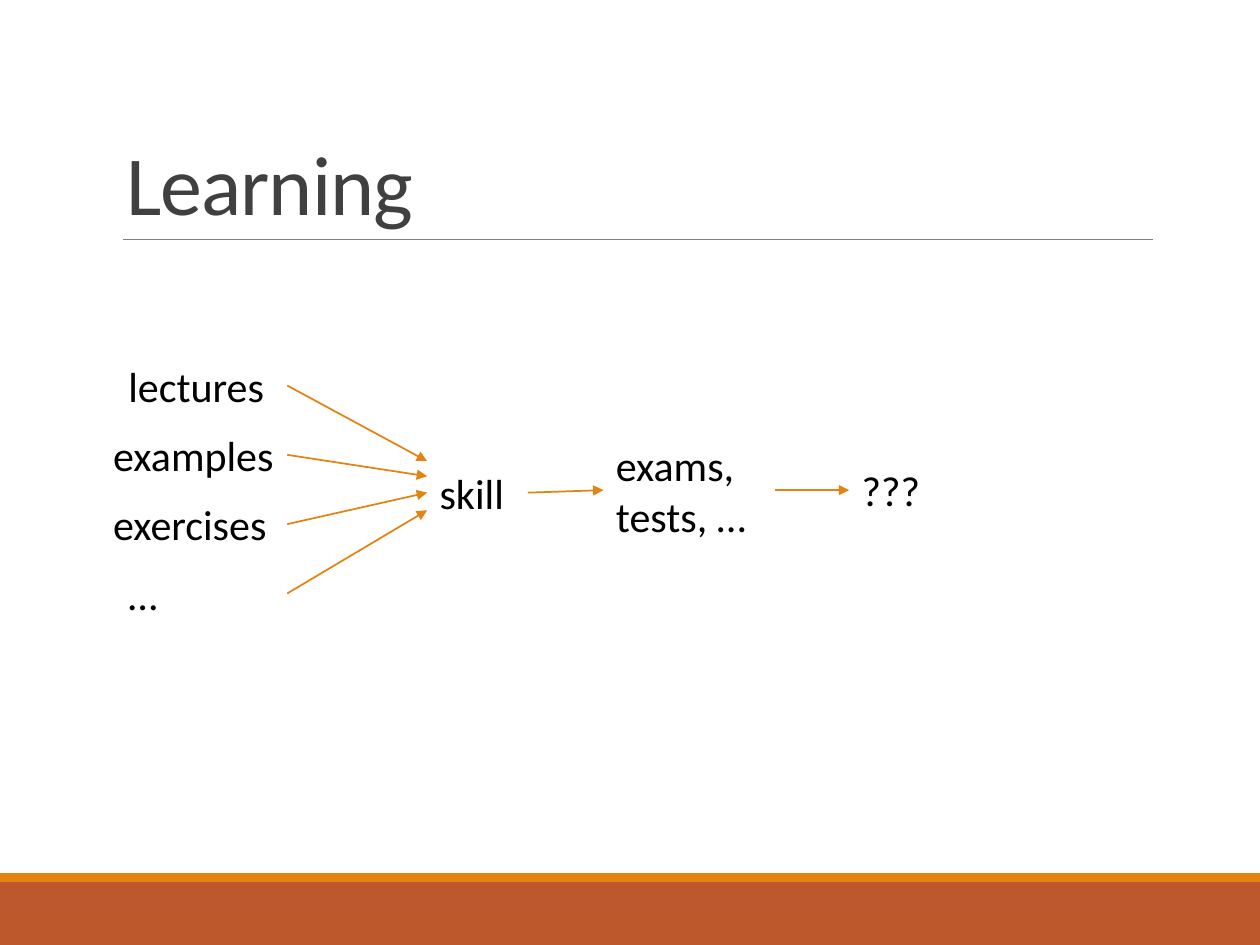
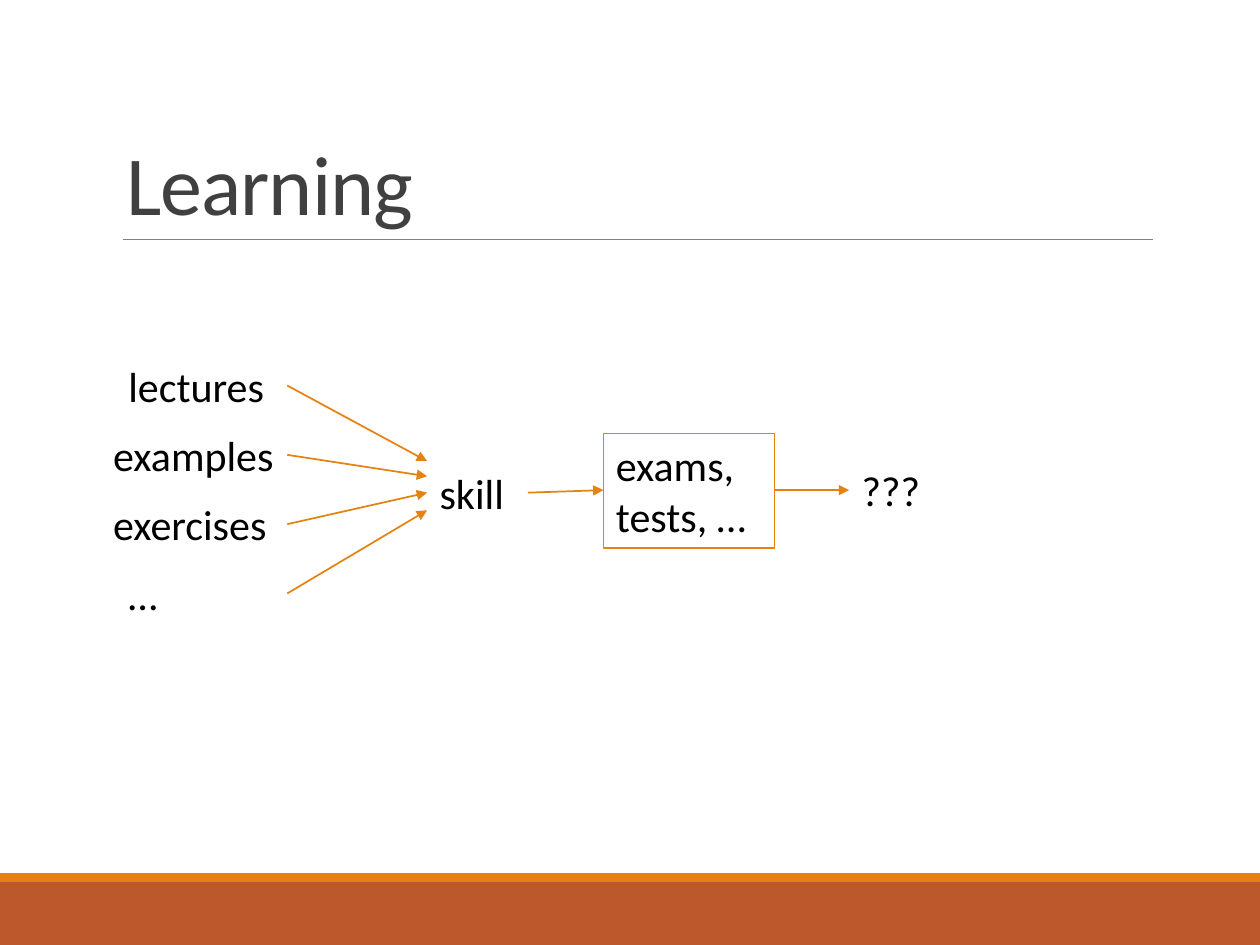
"""Build two slides showing how learning leads to skill and tests."""
from typing import NamedTuple

import pptx
import pptx.dml.color
import pptx.enum.shapes
import pptx.enum.text
import pptx.oxml
import pptx.oxml.ns
import pptx.util

PX = 9144
FONT = "Calibri"
COLORS = {
    "band": "BD582C",
    "accent": "E48312",
    "rule": "808080",
    "title": "404040",
    "text": "000000",
}
SLIDE_W, SLIDE_H = 1000, 750
LABEL_H = 50
SOURCE_TOP, SOURCE_STEP, SOURCE_RIGHT = 281, 55, 228
SKILL_LEFT = 339


class Label(NamedTuple):
    text: str
    left: int
    top: int
    width: int
    height: int = LABEL_H


class Arrow(NamedTuple):
    x1: int
    y1: int
    x2: int
    y2: int


class Source(NamedTuple):
    text: str
    left: int
    arrow_end: int


SOURCES = [
    Source("lectures", 92, 366),
    Source("examples", 80, 378),
    Source("exercises", 80, 391),
    Source("…", 92, 405),
]
SKILL = Label("skill", SKILL_LEFT, 366, 81)
EXAMS = Label("exams,\ntests, …", 479, 344, 136, 91)
OUTCOME = Label("???", 674, 364, 113)
CHAIN = [Arrow(419, 391, 479, 389), Arrow(615, 389, 674, 389)]


def px(n: int) -> int:
    return pptx.util.Emu(n * PX)


def rgb(name: str) -> pptx.dml.color.RGBColor:
    return pptx.dml.color.RGBColor.from_string(COLORS[name])


def style_runs(tf, size: int, color: str) -> None:
    for p in tf.paragraphs:
        for r in p.runs:
            r.font.name = FONT
            r.font.size = pptx.util.Pt(size)
            r.font.color.rgb = rgb(color)


def add_rect(s, left: int, top: int, width: int, height: int):
    sp = s.shapes.add_shape(pptx.enum.shapes.MSO_SHAPE.RECTANGLE,
                            px(left), px(top), px(width), px(height))
    sp.shadow.inherit = False
    return sp


def add_band(s, top: int, height: int, color: str) -> None:
    sp = add_rect(s, 0, top, SLIDE_W, height)
    sp.fill.solid()
    sp.fill.fore_color.rgb = rgb(color)
    sp.line.fill.background()


def add_line(s, line: Arrow, color: str, width: float):
    sp = s.shapes.add_connector(pptx.enum.shapes.MSO_CONNECTOR.STRAIGHT, *map(px, line))
    sp.line.color.rgb = rgb(color)
    sp.line.width = pptx.util.Pt(width)
    pptx.oxml.ns.qn("a:effectLst")
    sp.element.spPr.append(pptx.oxml.parse_xml(
        f"<a:effectLst {pptx.oxml.ns.nsdecls('a')}/>"))
    return sp


def add_arrow(s, arrow: Arrow) -> None:
    sp = add_line(s, arrow, "accent", 1)
    sp.line._get_or_add_ln().append(pptx.oxml.parse_xml(
        f'<a:tailEnd {pptx.oxml.ns.nsdecls("a")} type="triangle"/>'))


def add_label(s, label: Label, boxed: bool = False) -> None:
    if boxed:
        sp = add_rect(s, *label[1:])
        sp.fill.background()
        sp.line.color.rgb = rgb("accent")
        sp.line.width = pptx.util.Pt(0.75)
    else:
        sp = s.shapes.add_textbox(*map(px, label[1:]))
    tf = sp.text_frame
    tf.word_wrap = True
    tf.auto_size = pptx.enum.text.MSO_AUTO_SIZE.SHAPE_TO_FIT_TEXT
    tf.vertical_anchor = pptx.enum.text.MSO_ANCHOR.TOP
    tf.text = label.text
    for p in tf.paragraphs:
        p.alignment = pptx.enum.text.PP_ALIGN.LEFT
    style_runs(tf, 24, "text")


def set_title(s, text: str) -> None:
    sp = s.shapes.title
    sp.left, sp.top, sp.width, sp.height = map(px, (90, 31, 825, 159))
    tf = sp.text_frame
    tf.auto_size = pptx.enum.text.MSO_AUTO_SIZE.NONE
    tf.vertical_anchor = pptx.enum.text.MSO_ANCHOR.BOTTOM
    tf.text = text
    p = tf.paragraphs[0]
    p.alignment = pptx.enum.text.PP_ALIGN.LEFT
    p.line_spacing = 0.85
    style_runs(tf, 48, "title")
    p.runs[0].font._element.set("spc", "-50")


def add_learning_slide(prs, boxed_exams: bool) -> None:
    s = prs.slides.add_slide(prs.slide_layouts.get_by_name("Title Only"))
    add_band(s, 700, 50, "band")
    add_band(s, 693, 7, "accent")
    add_line(s, Arrow(98, 190, 915, 190), "rule", 0.5)
    set_title(s, "Learning")
    for i, source in enumerate(SOURCES):
        top = SOURCE_TOP + i * SOURCE_STEP
        add_label(s, Label(source.text, source.left, top, SOURCE_RIGHT - source.left))
        add_arrow(s, Arrow(SOURCE_RIGHT, top + LABEL_H // 2, SKILL_LEFT, source.arrow_end))
    add_label(s, SKILL)
    add_label(s, EXAMS, boxed_exams)
    add_label(s, OUTCOME)
    for arrow in CHAIN:
        add_arrow(s, arrow)


def main() -> None:
    prs = pptx.Presentation()
    prs.slide_width, prs.slide_height = px(SLIDE_W), px(SLIDE_H)
    for boxed_exams in (False, True):
        add_learning_slide(prs, boxed_exams)
    prs.save("out.pptx")


if __name__ == "__main__":
    main()
